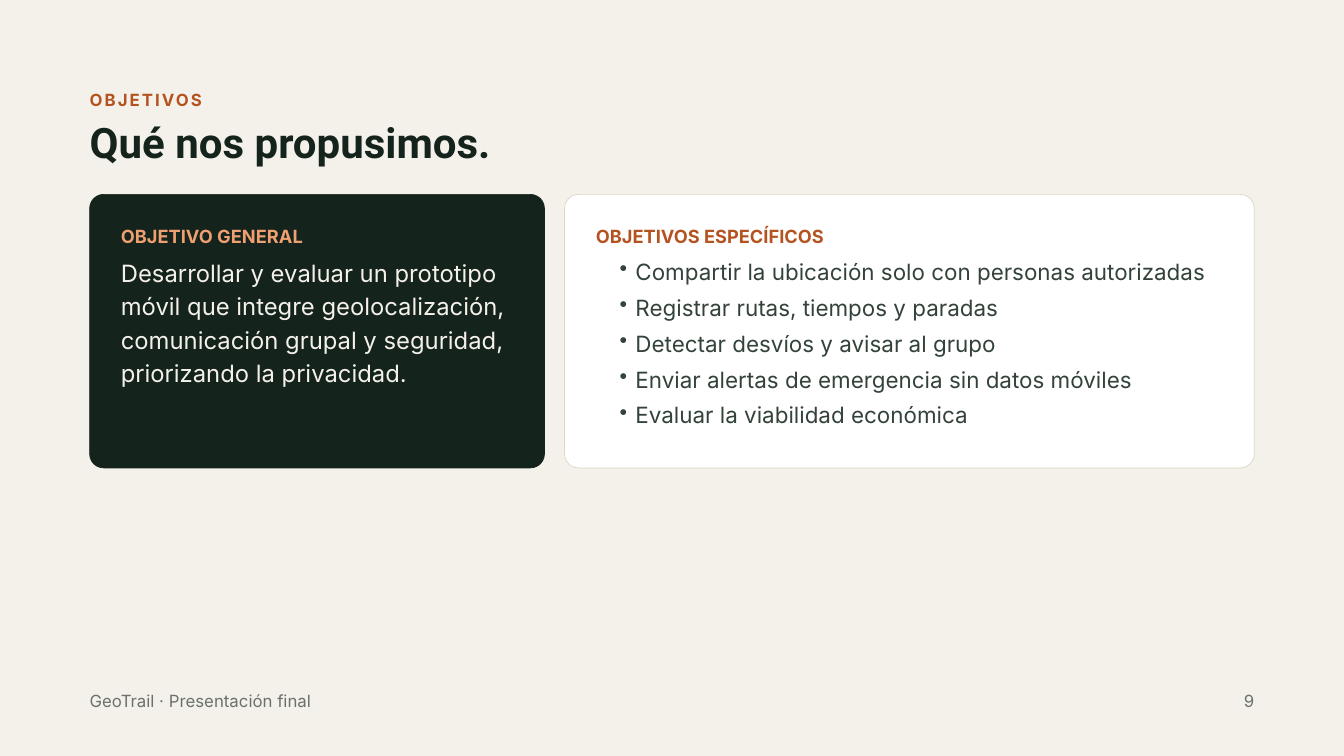
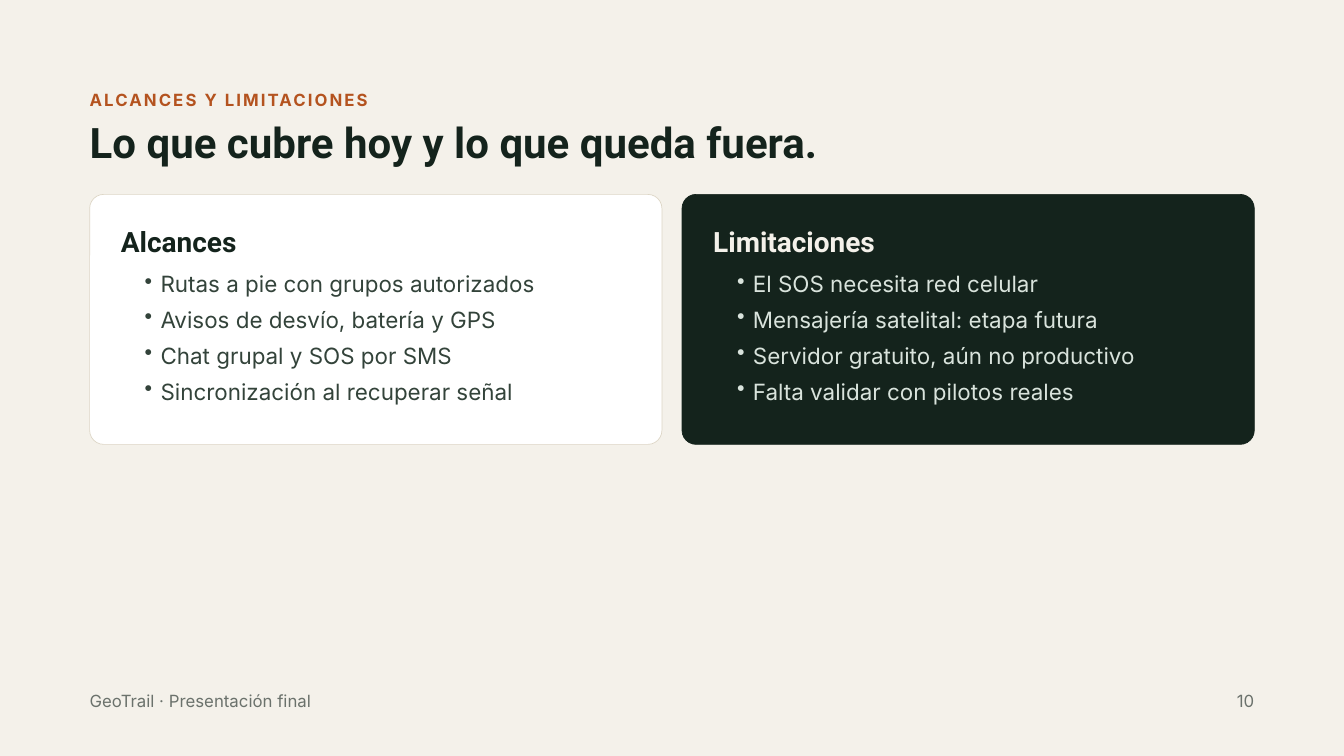
from lxml.etree import SubElement
from pptx import Presentation
from pptx.dml.color import RGBColor
from pptx.enum.shapes import MSO_SHAPE
from pptx.enum.text import MSO_ANCHOR, MSO_AUTO_SIZE, PP_ALIGN
from pptx.oxml.ns import qn
from pptx.util import Cm, Pt

LEFT, RIGHT = 3.39, 47.41
CARD_TOP, CARD_GAP, RADIUS = 7.35, 0.76, 0.53
PAD, LIST_INSET = 1.18, 0.3
INK, CREAM, RUST = "14231C", "F4F1EA", "B4531F"

# size, line pitch, font, bold
STYLES = {
    "eyebrow": dict(size=18, pitch=21.6, name="Inter", bold=True),
    "title": dict(size=45, pitch=51.7, name="Roboto", bold=True),
    "label": dict(size=19.5, pitch=23.4, name="Inter", bold=True),
    "heading": dict(size=30, pitch=36, name="Roboto", bold=True),
    "body": dict(size=25.5, pitch=35.7, name="Inter", bold=False),
    "list": dict(size=24, pitch=38.4, name="Inter", bold=False),
    "footer": dict(size=18, pitch=21.6, name="Inter", bold=False),
}
DARK = dict(fill=INK, line=INK, label="F0A070", heading=CREAM, body=CREAM, list="D9E3DC")
LIGHT = dict(fill="FFFFFF", line="DDD6C6", label=RUST, heading=INK, body="33433A", list="33433A")


def rgb(value):
    return RGBColor.from_string(value)


class Deck:
    def __init__(self):
        self.prs = Presentation()
        self.prs.slide_width, self.prs.slide_height = Cm(50.8), Cm(28.58)
        fill = self.prs.slide_master.background.fill
        fill.solid()
        fill.fore_color.rgb = rgb(CREAM)
        self.s = None

    def slide(self, eyebrow, title, number):
        self.s = self.prs.slides.add_slide(self.prs.slide_layouts[5])
        self.text(3.39, [eyebrow], "eyebrow", RUST, height=0.87, spacing=2.2)
        self.text(4.48, [title], "title", INK, height=1.93, sp=self.s.shapes.title)
        self.text(26.11, ["GeoTrail · Presentación final"], "footer", "6B726C",
                  width=38.15, height=0.87)
        self.text(26.11, [str(number)], "footer", "6B726C", left=RIGHT - 2, width=2,
                  height=0.87, align=PP_ALIGN.RIGHT)

    def text(self, top, lines, style, color, left=LEFT, width=RIGHT - LEFT, height=1,
             align=PP_ALIGN.LEFT, spacing=0, bullets=False, sp=None):
        """Fill a new text box, or the given placeholder, with one paragraph per line."""
        box = [Cm(v) for v in (left, top, width, height)]
        sp = sp or self.s.shapes.add_textbox(*box)
        sp.left, sp.top, sp.width, sp.height = box
        tf = sp.text_frame
        frame = dict(word_wrap=True, auto_size=MSO_AUTO_SIZE.NONE, vertical_anchor=MSO_ANCHOR.TOP,
                     margin_left=0, margin_top=0, margin_right=0, margin_bottom=0)
        for key, value in frame.items():
            setattr(tf, key, value)
        look = STYLES[style]
        for i, line in enumerate(lines):
            p = tf.add_paragraph() if i else tf.paragraphs[0]
            p.alignment, p.line_spacing = align, Pt(look["pitch"])
            if bullets:
                self.bullet(p)
            r = p.add_run()
            r.text = line
            for key, value in dict(size=Pt(look["size"]), name=look["name"],
                                   bold=look["bold"]).items():
                setattr(r.font, key, value)
            r.font.color.rgb = rgb(color)
            if spacing:
                r._r.get_or_add_rPr().set("spc", str(round(spacing * 100)))

    def bullet(self, p):
        p.level = 1
        pPr = p._p.get_or_add_pPr()
        pPr.set("marL", str(Cm(1.2)))
        pPr.set("indent", str(Cm(-0.6)))
        SubElement(pPr, qn("a:buChar"), char="•")

    def card(self, left, width, height, theme, head, head_style, lines, body_style, body_top):
        """Rounded panel with a head and, body_top below the panel's top, text or a list."""
        sp = self.s.shapes.add_shape(MSO_SHAPE.ROUNDED_RECTANGLE, Cm(left), Cm(CARD_TOP),
                                     Cm(width), Cm(height))
        sp.adjustments[0] = RADIUS / min(width, height)
        sp.shadow.inherit = False
        sp.fill.solid()
        sp.fill.fore_color.rgb = rgb(theme["fill"])
        sp.line.color.rgb = rgb(theme["line"])
        sp.line.width = Pt(0.75)
        bullets = body_style == "list"
        inset = LIST_INSET if bullets else 0
        room = width - 1.8
        self.text(CARD_TOP + 1.15, [head], head_style, theme[head_style],
                  left=left + PAD, width=room)
        self.text(CARD_TOP + body_top, lines, body_style, theme[body_style],
                  left=left + PAD + inset, width=room - inset,
                  height=height - body_top - PAD, bullets=bullets)

    def card_pair(self, first_width, height, *cards):
        lefts = LEFT, LEFT + first_width + CARD_GAP
        widths = first_width, RIGHT - lefts[1]
        for left, width, card in zip(lefts, widths, cards):
            self.card(left, width, height, *card)


def main():
    deck = Deck()

    deck.slide("OBJETIVOS", "Qué nos propusimos.", 9)
    general = ["Desarrollar y evaluar un prototipo móvil que integre geolocalización, "
               "comunicación grupal y seguridad, priorizando la privacidad."]
    specific = ["Compartir la ubicación solo con personas autorizadas",
                "Registrar rutas, tiempos y paradas",
                "Detectar desvíos y avisar al grupo",
                "Enviar alertas de emergencia sin datos móviles",
                "Evaluar la viabilidad económica"]
    deck.card_pair(17.19, 10.34,
                   (DARK, "OBJETIVO GENERAL", "label", general, "body", 2.25),
                   (LIGHT, "OBJETIVOS ESPECÍFICOS", "label", specific, "list", 2.07))

    deck.slide("ALCANCES Y LIMITACIONES", "Lo que cubre hoy y lo que queda fuera.", 10)
    scope = ["Rutas a pie con grupos autorizados",
             "Avisos de desvío, batería y GPS",
             "Chat grupal y SOS por SMS",
             "Sincronización al recuperar señal"]
    limits = ["El SOS necesita red celular",
              "Mensajería satelital: etapa futura",
              "Servidor gratuito, aún no productivo",
              "Falta validar con pilotos reales"]
    deck.card_pair((RIGHT - LEFT - CARD_GAP) / 2, 9.45,
                   (LIGHT, "Alcances", "heading", scope, "list", 2.53),
                   (DARK, "Limitaciones", "heading", limits, "list", 2.53))

    deck.prs.save("out.pptx")


if __name__ == "__main__":
    main()
